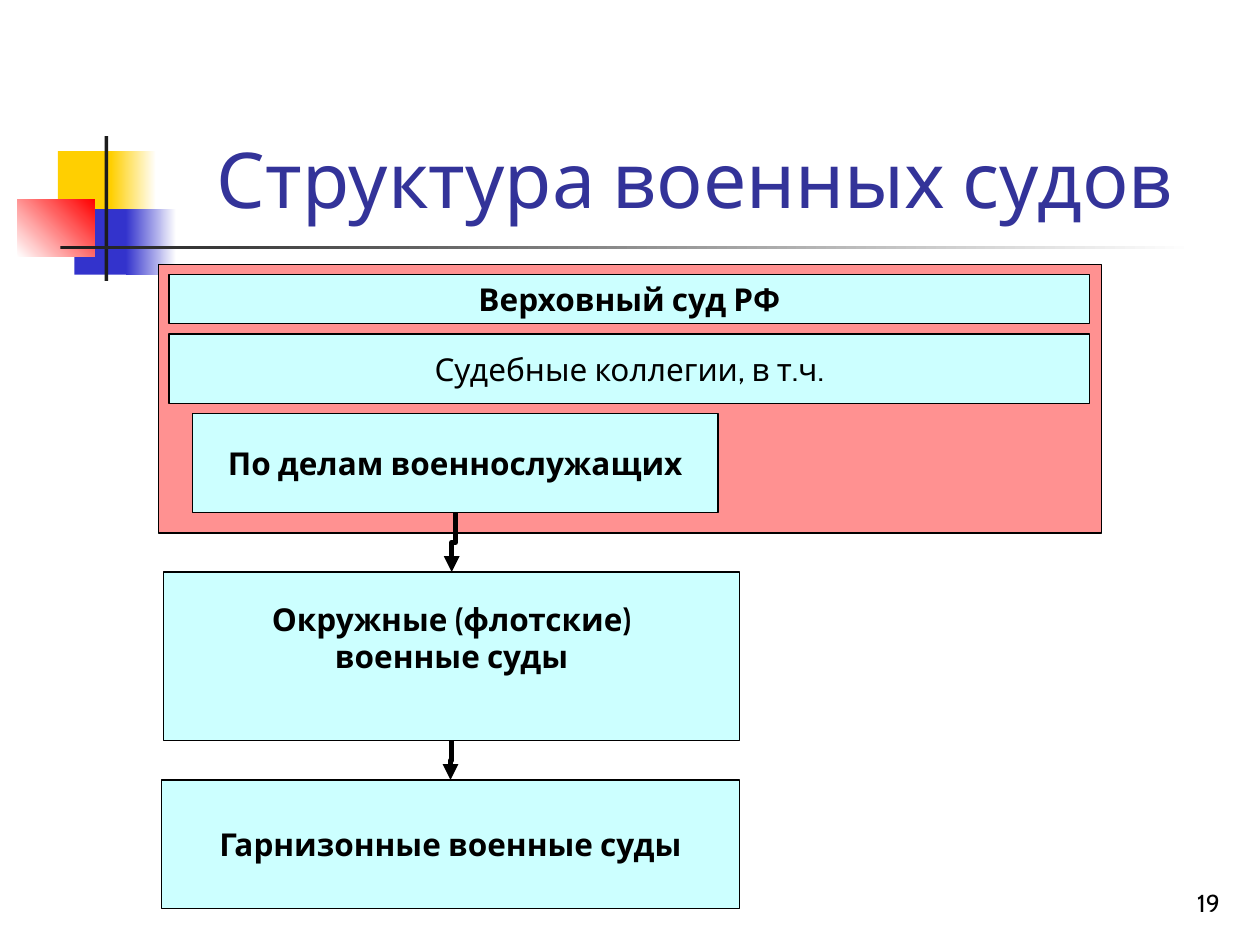
"""Build a slide showing the structure of the military courts."""
from lxml import etree
from pptx import Presentation
from pptx.dml.color import RGBColor
from pptx.enum.shapes import MSO_CONNECTOR, MSO_SHAPE
from pptx.enum.text import MSO_ANCHOR, PP_ALIGN
from pptx.oxml.ns import qn
from pptx.util import Inches, Pt

RECT = MSO_SHAPE.RECTANGLE
ELBOW = MSO_CONNECTOR.ELBOW
MIDDLE, BOTTOM = MSO_ANCHOR.MIDDLE, MSO_ANCHOR.BOTTOM
CENTER, RIGHT = PP_ALIGN.CENTER, PP_ALIGN.RIGHT

FONT = "Cabin"
BLACK = RGBColor(0x00, 0x00, 0x00)
WHITE = RGBColor(0xFF, 0xFF, 0xFF)
YELLOW = RGBColor(0xFF, 0xCF, 0x01)
BLUE = RGBColor(0x33, 0x33, 0xCC)
RED = RGBColor(0xFF, 0x00, 0x00)
DARK = RGBColor(0x1C, 0x1C, 0x1C)
NAVY = RGBColor(0x33, 0x33, 0x99)
PINK = RGBColor(0xFF, 0x91, 0x91)
CYAN = RGBColor(0xCC, 0xFF, 0xFF)

TITLE = "Структура военных судов"
PAGE = "19"
DECOR = [
    ((0.46, 1.2, 0.48, 0.52), (YELLOW,), 0),
    ((0.88, 1.2, 0.36, 0.52), (YELLOW, WHITE), 0),
    ((0.59, 1.66, 0.46, 0.52), (BLUE,), 0),
    ((1, 1.66, 0.4, 0.52), (BLUE, WHITE), 0),
    ((0.14, 1.58, 0.61, 0.46), (WHITE, RED), 45),
    ((0.83, 1.08, 0.03, 1.15), (DARK,), 0),
    ((0.48, 1.95, 9, 0.03), (DARK, WHITE), 0),
]
SUPREME_PANEL = (1.26, 2.1, 7.48, 2.13)
SUPREME_BOXES = [
    ((1.34, 2.18, 7.31, 0.39), "Верховный суд РФ", True, 0.05),
    ((1.34, 2.65, 7.31, 0.55), "Судебные коллегии, в т.ч.", False, 0.05),
    ((1.53, 3.28, 4.17, 0.79), "По делам военнослужащих", True, 0.05),
]
LOWER_BOXES = [
    ((1.3, 4.54, 4.57, 1.34), "Окружные (флотские)\nвоенные суды", True, 0.35),
    ((1.28, 6.19, 4.59, 1.02), "Гарнизонные военные суды", True, 0.05),
]


def write(sp, text, size=18, bold=False, color=BLACK, align=CENTER,
          anchor=MIDDLE, wrap=False, bottom=0.05):
    tf = sp.text_frame
    tf.word_wrap = wrap
    tf.vertical_anchor = anchor
    tf.margin_bottom = Inches(bottom)
    for i, line in enumerate(text.split("\n")):
        p = tf.paragraphs[0] if i == 0 else tf.add_paragraph()
        p.alignment = align
        r = p.add_run()
        r.text = line
        r.font.name, r.font.size, r.font.bold = FONT, Pt(size), bold
        r.font.color.rgb = color


def add_rect(shapes, box, colors, angle=0, outlined=False):
    sp = shapes.add_shape(RECT, *map(Inches, box))
    sp.shadow.inherit = False
    if len(colors) == 1:
        sp.fill.solid()
        sp.fill.fore_color.rgb = colors[0]
    else:
        sp.fill.gradient()
        sp.fill.gradient_angle = angle
        for stop, color, pos in zip(sp.fill.gradient_stops, colors, (0, 1)):
            stop.color.rgb, stop.position = color, pos
    if outlined:
        sp.line.color.rgb, sp.line.width = BLACK, Pt(0.75)
    else:
        sp.line.fill.background()
    return sp


def add_court(shapes, box, text, bold, bottom):
    sp = add_rect(shapes, box, (CYAN,), outlined=True)
    write(sp, text, bold=bold, bottom=bottom)
    return sp


def add_arrow(shapes, upper, lower):
    x1, y1 = upper.left + upper.width // 2, upper.top + upper.height
    x2, y2 = lower.left + lower.width // 2, lower.top
    cx = shapes.add_connector(ELBOW, x1, y1, x2, y2)
    cx.begin_connect(upper, 2)
    cx.end_connect(lower, 0)
    length, shift = y2 - y1, x1 - x2
    xfrm = cx._element.spPr.find(qn("a:xfrm"))
    xfrm.attrib.clear()
    xfrm.set("rot", str(90 * 60000))
    cx.left, cx.top = (x1 + x2 - length) // 2, (y1 + y2 - shift) // 2
    cx.width, cx.height = length, shift
    cx.line.color.rgb, cx.line.width = BLACK, Pt(3)
    etree.SubElement(cx.line._get_or_add_ln(), qn("a:tailEnd"), type="triangle")
    etree.SubElement(cx._element.spPr, qn("a:effectLst"))


def main():
    prs = Presentation()
    prs.slide_width, prs.slide_height = Inches(10), Inches(7.5)
    shapes = prs.slides.add_slide(prs.slide_layouts[6]).shapes

    for box, colors, angle in DECOR:
        add_rect(shapes, box, colors, angle)

    page = shapes.add_textbox(*map(Inches, (7.7, 6.83, 2.08, 0.5)))
    write(page, PAGE, size=14, align=RIGHT, anchor=BOTTOM, wrap=True)
    title = shapes.add_textbox(*map(Inches, (1.26, 0.23, 8.52, 1.6)))
    write(title, TITLE, size=44, color=NAVY, anchor=BOTTOM, wrap=True)

    group = shapes.add_group_shape()
    add_rect(group.shapes, SUPREME_PANEL, (PINK,), outlined=True)
    supreme = [add_court(group.shapes, *row) for row in SUPREME_BOXES]
    lower = [add_court(shapes, *row) for row in LOWER_BOXES]

    chain = [supreme[-1], *lower]
    for above, below in zip(chain, chain[1:]):
        add_arrow(shapes, above, below)

    prs.save("out.pptx")


if __name__ == "__main__":
    main()
